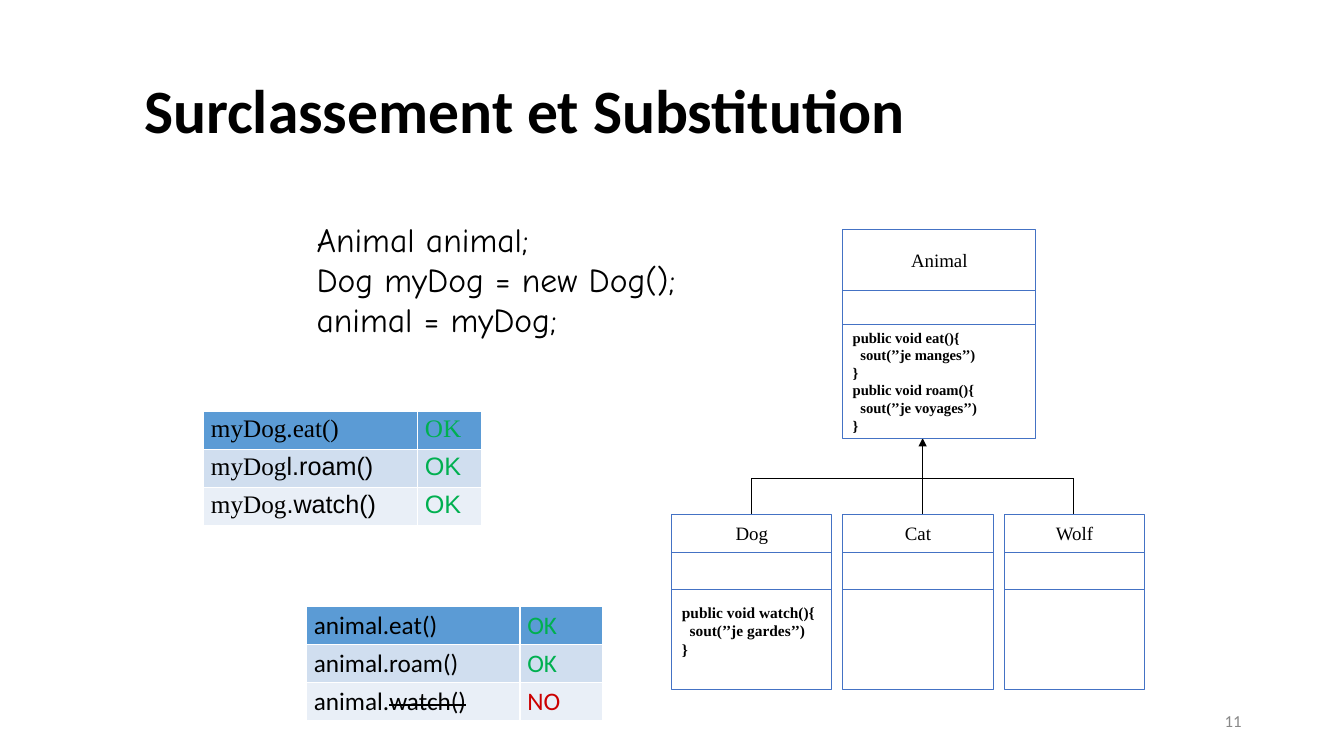
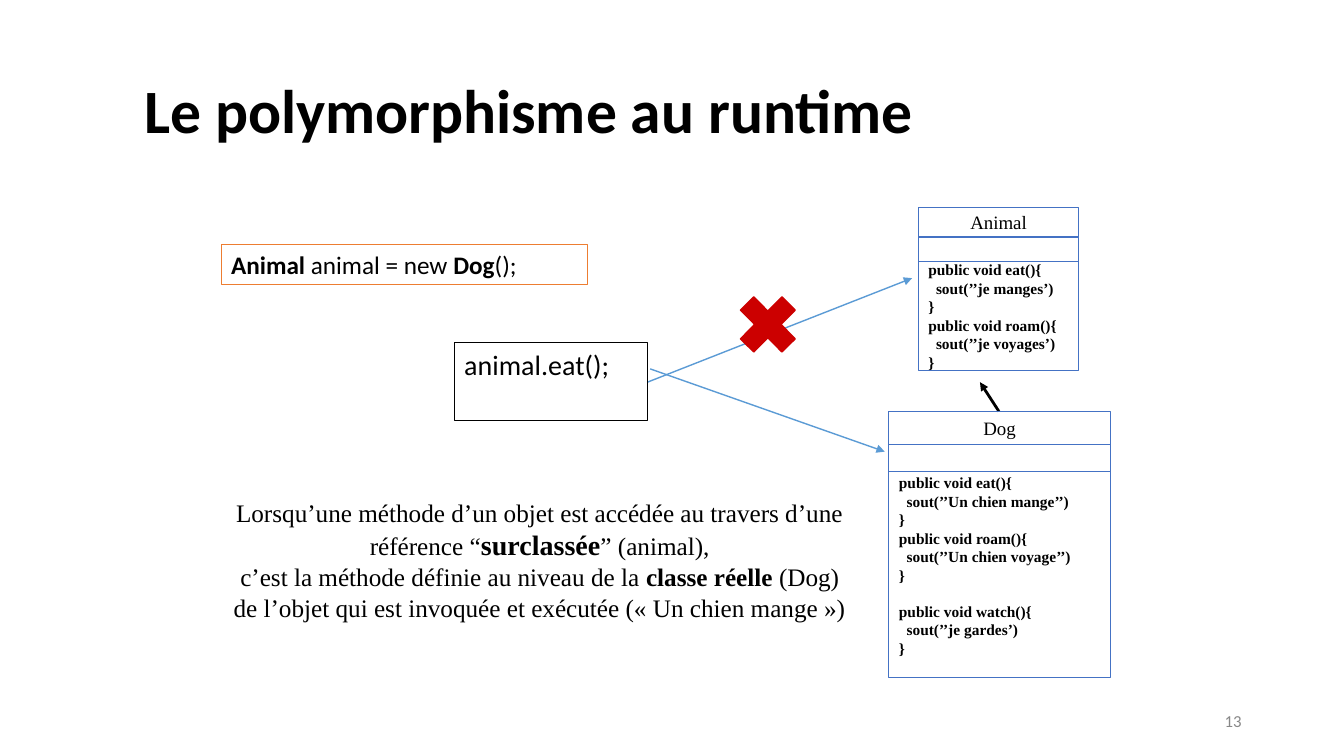
import pptx
import pptx.dml.color
import pptx.enum.shapes
import pptx.enum.text
import pptx.oxml
import pptx.oxml.ns
import pptx.util

Pt = pptx.util.Pt
SHAPES = pptx.enum.shapes.MSO_SHAPE
ALIGN = pptx.enum.text.PP_ALIGN
ANCHOR = pptx.enum.text.MSO_ANCHOR

COLORS = {
    "text": "000000", "page": "888888", "class": "4472C4", "call": "5B9BD5",
    "declaration": "ED7D31", "ok": "00B050", "no": "CC0000",
    "header": "5B9BD5", "odd": "D0DEEF", "even": "E9EFF7",
}
COLORS = {part: pptx.dml.color.RGBColor.from_string(value) for part, value in COLORS.items()}

TITLE = {"size": Pt(44), "name": "Calibri", "bold": True}
PAGE = {"size": Pt(12), "name": "Calibri", "color": "page"}
CLASS_NAME = {"size": Pt(13.5), "name": "Times New Roman"}
BODY = {"size": Pt(18), "name": "Times New Roman"}
CALIBRI = {"size": Pt(18), "name": "Calibri"}
BOLD = {"bold": True}


def write(frame, lines, look, **layout):
    """Write each line, a string or a list of (text, changed format) runs."""
    for number, line in enumerate(lines):
        paragraph = frame.paragraphs[0] if number == 0 else frame.add_paragraph()
        for key, value in {"alignment": ALIGN.LEFT, **layout}.items():
            setattr(paragraph, key, value)
        for text, change in [(line, {})] if isinstance(line, str) else line:
            run = paragraph.add_run()
            run.text = text
            values = {"bold": False, "color": "text", **look, **change}
            run.font.color.rgb = COLORS[values.pop("color")]
            if values.pop("strike", False):
                run.font._element.set("strike", "sngStrike")
            for key, value in values.items():
                setattr(run.font, key, value)


def add_box(slide, place, outline=None, anchor=ANCHOR.TOP):
    """Add an unfilled box, with an outline if one is named; return its text frame."""
    left, top, width, height = map(Pt, place)
    if outline:
        box = slide.shapes.add_shape(SHAPES.RECTANGLE, left, top, width, height)
        box.shadow.inherit = False
        box.fill.background()
        box.line.color.rgb = COLORS[outline]
        box.line.width = Pt(0.75)
    else:
        box = slide.shapes.add_textbox(left, top, width, height)
    box.text_frame.word_wrap = True
    box.text_frame.vertical_anchor = anchor
    return box.text_frame


deck = pptx.Presentation()
deck.slide_width, deck.slide_height = Pt(960), Pt(540)

# Title and page number of each slide
slides = []
for title, page in [("Surclassement et Substitution", "11"), ("Le polymorphisme au runtime", "13")]:
    slide = deck.slides.add_slide(deck.slide_layouts[6])
    heading = add_box(slide, (66, 29, 828, 104), anchor=ANCHOR.MIDDLE)
    heading.margin_left = Pt(37)
    write(heading, [title], TITLE, line_spacing=0.9)
    write(add_box(slide, (678, 500.4, 216, 28.8), anchor=ANCHOR.MIDDLE), [page], PAGE, alignment=ALIGN.RIGHT)
    slides.append(slide)
substitution, runtime = slides

# Links: slide, start, end, colour, width, arrow
BUS, DOG_X, CAT_X, WOLF_X = 342, 536.5, 659, 767
links = [
    (substitution, (WOLF_X, BUS), (DOG_X, BUS), "text", 0.75, False),
    (substitution, (CAT_X, BUS), (CAT_X, 313), "text", 0.75, True),
    (runtime, (713.5, 293.8), (700, 273), "text", 2, True),
    (runtime, (462.5, 273), (651.5, 198.7), "call", 1, True),
    (runtime, (464.4, 263.5), (632, 322.6), "call", 1, True),
]
links += [(substitution, (x, 367), (x, BUS), "text", 0.75, False) for x in (DOG_X, CAT_X, WOLF_X)]
for slide, start, end, color, width, arrow in links:
    link = slide.shapes.add_connector(pptx.enum.shapes.MSO_CONNECTOR.STRAIGHT, *map(Pt, start + end))
    link.line.color.rgb = COLORS[color]
    link.line.width = Pt(width)
    if arrow:
        head = pptx.oxml.parse_xml(f'<a:tailEnd {pptx.oxml.ns.nsdecls("a")} type="triangle"/>')
        link.line._get_or_add_ln().append(head)
    link._element.spPr.append(pptx.oxml.parse_xml(f'<a:effectLst {pptx.oxml.ns.nsdecls("a")}/>'))

# Class diagrams: slide, name, left, top, width, heights of the three parts, code size, methods
CHILD = (27.2, 27, 71)
classes = [
    (substitution, "Animal", 602, 164, 138, (43.2, 24.5, 81.3), 10.5,
     [("eat", "’’je manges’’"), ("roam", "’’je voyages’’")]),
    (substitution, "Dog", 480, 367.2, 114, CHILD, 11, [("watch", "’’je gardes’’")]),
    (substitution, "Cat", 602, 367.2, 107.5, CHILD, 11, []),
    (substitution, "Wolf", 717.5, 367.2, 100, CHILD, 11, []),
    (runtime, "Dog", 635, 293.8, 158, (24, 19, 147), 11,
     [("eat", "’’Un chien mange’’"), ("roam", "’’Un chien voyage’’"), ("watch", "’’je gardes’)")]),
    (runtime, "Animal", 656, 148.3, 114.5, (21, 17.2, 78.5), 11,
     [("eat", "’’je manges’"), ("roam", "’’je voyages’")]),
]
for slide, name, left, top, width, heights, size, methods in classes:
    parts = []
    for height in heights:
        parts.append(add_box(slide, (left, top, width, height), "class", ANCHOR.MIDDLE))
        top += height
    write(parts[0], [name], CLASS_NAME, alignment=ALIGN.CENTER)
    code = parts[2]
    lines = []
    for method, message in methods:
        lines += [f"public void {method}(){{", f"sout({message.rstrip(')')})", "}"]
    write(code, lines, {"size": Pt(size), "name": "Times New Roman", "bold": True})
    for paragraph in code.paragraphs:
        if paragraph.text.startswith("sout"):
            paragraph._p.get_or_add_pPr().set("marL", str(Pt(5.5)))
        if "watch" in paragraph.text:
            code.margin_bottom = Pt(16.3)
            if len(methods) > 1:
                paragraph.space_before = Pt(12.7)

# Declarations of the first slide
write(add_box(substitution, (219, 152.6, 284, 94.3)),
      ["Animal animal;", "Dog myDog = new Dog();", "animal = myDog;"],
      {"size": Pt(24), "name": "Comic Neue"})

# Tables of allowed calls: place, column widths, format, rows of call and verdict
ARIAL = {"name": "Arial"}
OK = {"color": "ok"}
tables = [
    (219, 433.5, (152.5, 59), CALIBRI, [
        ("animal.eat()", [("OK", OK)]),
        ("animal.roam()", [("OK", OK)]),
        ([("animal.", {}), ("watch()", {"strike": True})], [("NO", {"color": "no"})]),
    ]),
    (145.5, 293.8, (152.8, 46), BODY, [
        ("myDog.eat()", [("OK", OK)]),
        ([("myDog", {}), ("l.roam()", ARIAL)], [("OK", {**OK, **ARIAL})]),
        ([("myDog", {}), (".watch()", ARIAL)], [("OK", {**OK, **ARIAL})]),
    ]),
]
MARGINS = {"margin_left": 5.2, "margin_right": 5.2, "margin_top": 2.6, "margin_bottom": 2.6}
for left, top, widths, look, rows in tables:
    calls = substitution.shapes.add_table(3, 2, Pt(left), Pt(top), Pt(sum(widths)), Pt(81.3)).table
    for column, width in zip(calls.columns, widths):
        column.width = Pt(width)
    for r, (row, band) in enumerate(zip(rows, ("header", "odd", "even"))):
        for c, content in enumerate(row):
            cell = calls.cell(r, c)
            cell.fill.solid()
            cell.fill.fore_color.rgb = COLORS[band]
            for key, value in MARGINS.items():
                setattr(cell, key, Pt(value))
            write(cell.text_frame, [content], look)

# Declaration and call of the second slide
write(add_box(runtime, (158, 174.5, 261.5, 28.8), "declaration"),
      [[("Animal", BOLD), (" animal = new ", {}), ("Dog", BOLD), ("();", {})]], CALIBRI)
write(add_box(runtime, (324.5, 244.8, 138, 55.4), "text"),
      ["animal.eat();"], {**CALIBRI, "size": Pt(20)})

# Rule of the second slide
write(add_box(runtime, (158, 352, 455, 97)), [
    [("Lorsqu’une méthode d’un objet est accédée au travers d’une référence “", {}),
     ("surclassée", {"size": Pt(20), **BOLD}), ("” (animal),", {})],
    [("c’est la méthode définie au niveau de la ", {}), ("classe réelle ", BOLD),
     ("(Dog) de l’objet qui est invoquée et exécutée (« Un chien mange »)", {})],
], BODY, alignment=ALIGN.CENTER)

# Cross over the refused call
cross = runtime.shapes.add_shape(SHAPES.MATH_MULTIPLY, Pt(520), Pt(203), Pt(57), Pt(57.6))
cross.shadow.inherit = False
cross.adjustments[0] = 0.235
cross.fill.solid()
cross.fill.fore_color.rgb = cross.line.color.rgb = COLORS["no"]
cross.line.width = Pt(1)

deck.save("out.pptx")
